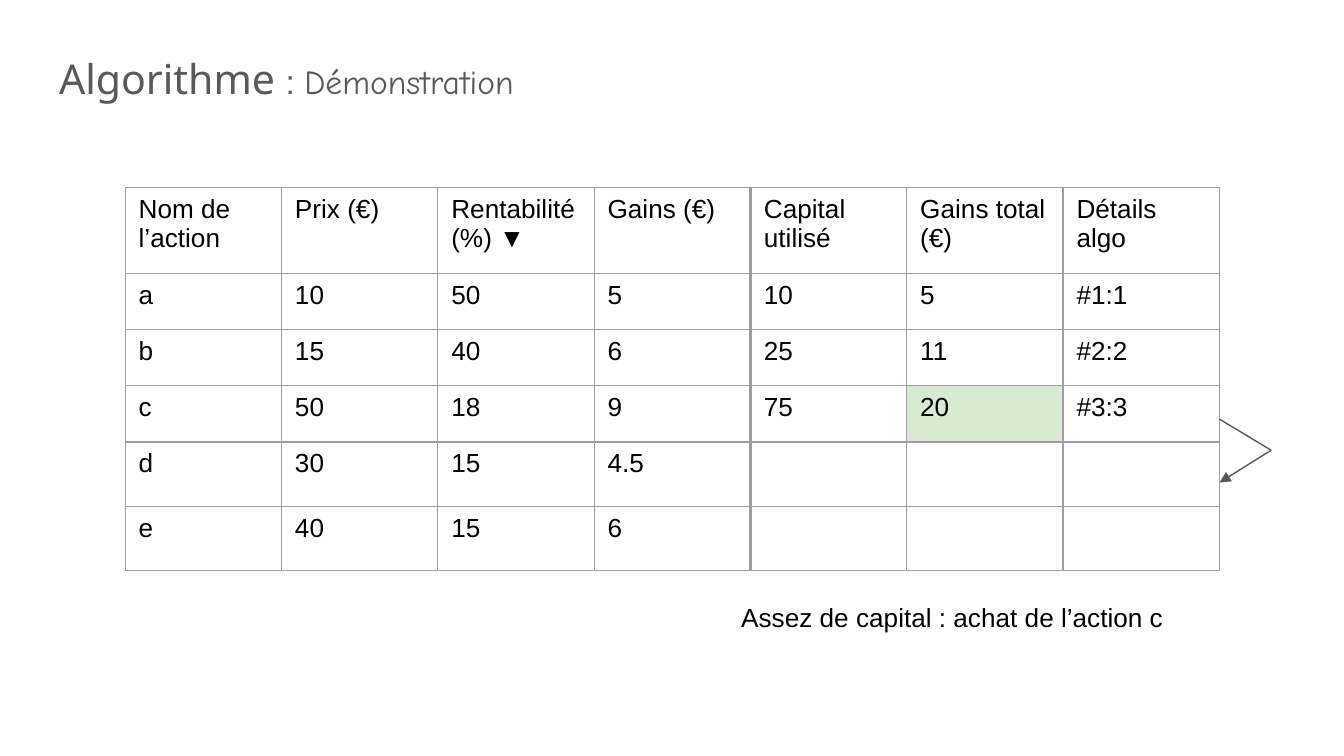
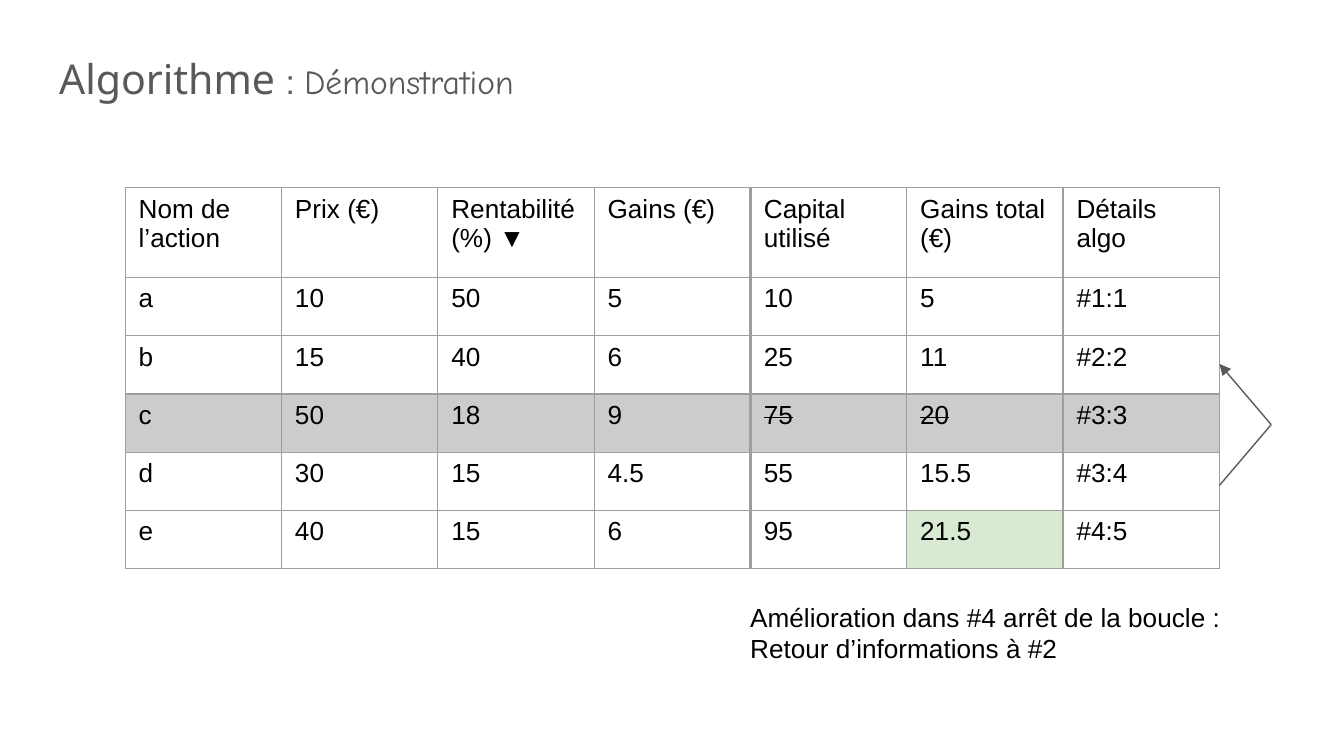
from dataclasses import dataclass

from lxml.etree import SubElement
from pptx import Presentation
from pptx.dml.color import RGBColor
from pptx.enum.shapes import MSO_CONNECTOR
from pptx.enum.text import MSO_ANCHOR, MSO_AUTO_SIZE, PP_ALIGN
from pptx.oxml.ns import qn
from pptx.slide import Slide
from pptx.table import _Cell
from pptx.text.text import _Paragraph
from pptx.util import Pt

COLORS = {
    "text": "000000",
    "heading": "595959",
    "border": "9E9E9E",
    "best": "D9EAD3",
    "rejected": "CCCCCC",
}
TITLE_ONLY = 5
TABLE_LEFT, TABLE_TOP = 67.1, 100.5
COLUMN_WIDTH = 83.75
ARROW_TIP = 681
INSET = 7.2
THIN, THICK = 0.75, 2.21
DIVIDER = 4  # first column of the algorithm's results

HEADERS = ["Nom de l’action", "Prix (€)", "Rentabilité (%) ▼", "Gains (€)",
           "Capital utilisé", "Gains total (€)", "Détails algo"]
STOCKS = [
    ["a", "10", "50", "5"],
    ["b", "15", "40", "6"],
    ["c", "50", "18", "9"],
    ["d", "30", "15", "4.5"],
    ["e", "40", "15", "6"],
]
TABLE_RIGHT = TABLE_LEFT + COLUMN_WIDTH * len(HEADERS)


@dataclass(frozen=True)
class Caption:
    text: str
    left: float
    top: float
    width: float
    height: float


@dataclass(frozen=True)
class Step:
    results: list[list[str]]
    row_heights: list[float]
    fills: dict[tuple[int, int], str]
    struck: set[tuple[int, int]]
    arrow: tuple[float, float, float]  # heights of start, tip and end
    caption: Caption


FIRST_RESULTS = [["10", "5", "#1:1"], ["25", "11", "#2:2"], ["75", "20", "#3:3"]]
STEPS = [
    Step(
        results=FIRST_RESULTS + [[""] * 3] * 2,
        row_heights=[46.1, 30.1, 30.1, 30.1, 34.6, 34.4],
        fills={(3, 5): "best"},
        struck=set(),
        arrow=(224.6, 241.2, 258.5),
        caption=Caption("Assez de capital : achat de l’action c", 390, 315.2, 276.5, 31),
    ),
    Step(
        results=FIRST_RESULTS + [["55", "15.5", "#3:4"], ["95", "21.5", "#4:5"]],
        row_heights=[48.2] + [31.2] * 5,
        fills={(3, column): "rejected" for column in range(len(HEADERS))} | {(5, 5): "best"},
        struck={(3, 4), (3, 5)},
        arrow=(260, 227.5, 195),
        caption=Caption("Amélioration dans #4 arrêt de la boucle :\nRetour d’informations à #2",
                        394.8, 315, 282, 48),
    ),
]


def rgb(name: str) -> RGBColor:
    return RGBColor.from_string(COLORS[name])


def write(paragraph: _Paragraph, text: str, *, size: float = 14, font: str = "Arial",
          color: str = "text", strike: bool = False) -> None:
    for index, line in enumerate(text.split("\n")):
        if index:
            paragraph.add_line_break()
        run = paragraph.add_run()
        run.text = line
        run.font.size = Pt(size)
        run.font.name = font
        run.font.color.rgb = rgb(color)
        if strike:
            run.font._element.set("strike", "sngStrike")


def add_heading(slide: Slide) -> None:
    heading = slide.shapes.title
    heading.left, heading.top = Pt(24.5), Pt(17.3)
    heading.width, heading.height = Pt(671), Pt(44.6)
    frame = heading.text_frame
    frame.auto_size = MSO_AUTO_SIZE.NONE
    frame.vertical_anchor = MSO_ANCHOR.TOP
    frame.margin_left = frame.margin_right = Pt(INSET)
    frame.margin_top = frame.margin_bottom = Pt(INSET)
    paragraph = frame.paragraphs[0]
    paragraph.alignment = PP_ALIGN.LEFT
    paragraph.line_spacing = 1.15
    paragraph.space_after = Pt(12)
    write(paragraph, "Algorithme ", size=22, font="Noto Sans", color="heading")
    write(paragraph, ": ", size=18, color="heading")
    write(paragraph, "Démonstration", size=18, font="Comic Neue", color="heading")


def set_borders(cell: _Cell, column: int) -> None:
    """Give the cell thin borders, thick along the divider."""
    widths = {
        "a:lnL": THICK if column == DIVIDER else THIN,
        "a:lnR": THICK if column == DIVIDER - 1 else THIN,
        "a:lnT": THIN,
        "a:lnB": THIN,
    }
    properties = cell._tc.get_or_add_tcPr()
    for side, width in widths.items():
        line = SubElement(properties, qn(side), w=str(Pt(width)))
        solid = SubElement(line, qn("a:solidFill"))
        SubElement(solid, qn("a:srgbClr"), val=COLORS["border"])


def add_stock_table(slide: Slide, step: Step) -> None:
    rows = [HEADERS] + [stock + result for stock, result in zip(STOCKS, step.results)]
    table = slide.shapes.add_table(
        len(rows), len(HEADERS), Pt(TABLE_LEFT), Pt(TABLE_TOP),
        Pt(COLUMN_WIDTH * len(HEADERS)), Pt(sum(step.row_heights))).table
    table.first_row = table.horz_banding = False
    for table_column in table.columns:
        table_column.width = Pt(COLUMN_WIDTH)
    for row, (texts, height) in enumerate(zip(rows, step.row_heights)):
        table.rows[row].height = Pt(height)
        for column, text in enumerate(texts):
            cell = table.cell(row, column)
            cell.margin_left = cell.margin_right = Pt(INSET)
            cell.margin_top = cell.margin_bottom = Pt(INSET / 2)
            set_borders(cell, column)
            if (row, column) in step.fills:
                cell.fill.solid()
                cell.fill.fore_color.rgb = rgb(step.fills[row, column])
            else:
                cell.fill.background()
            if text:
                write(cell.text_frame.paragraphs[0], text, strike=(row, column) in step.struck)


def add_line(slide: Slide, start: tuple[float, float], end: tuple[float, float],
             arrowhead: bool = False) -> None:
    connector = slide.shapes.add_connector(
        MSO_CONNECTOR.STRAIGHT, *(Pt(value) for value in start + end))
    connector.line.color.rgb = rgb("heading")
    connector.line.width = Pt(0.75)
    if arrowhead:
        SubElement(connector.line._get_or_add_ln(), qn("a:tailEnd"), type="triangle")
    SubElement(connector._element.spPr, qn("a:effectLst"))


def add_bent_arrow(slide: Slide, heights: tuple[float, float, float]) -> None:
    start, tip, end = heights
    add_line(slide, (TABLE_RIGHT, start), (ARROW_TIP, tip))
    add_line(slide, (ARROW_TIP, tip), (TABLE_RIGHT, end), arrowhead=True)


def add_caption(slide: Slide, caption: Caption) -> None:
    frame = slide.shapes.add_textbox(
        Pt(caption.left), Pt(caption.top), Pt(caption.width), Pt(caption.height)).text_frame
    frame.word_wrap = True
    frame.auto_size = MSO_AUTO_SIZE.SHAPE_TO_FIT_TEXT
    frame.margin_left = frame.margin_right = Pt(INSET)
    frame.margin_top = frame.margin_bottom = Pt(INSET)
    write(frame.paragraphs[0], caption.text)


def main() -> None:
    presentation = Presentation()
    presentation.slide_width, presentation.slide_height = Pt(720), Pt(405)
    for step in STEPS:
        slide = presentation.slides.add_slide(presentation.slide_layouts[TITLE_ONLY])
        add_heading(slide)
        add_stock_table(slide, step)
        add_caption(slide, step.caption)
        add_bent_arrow(slide, step.arrow)
    presentation.save("out.pptx")


if __name__ == "__main__":
    main()
